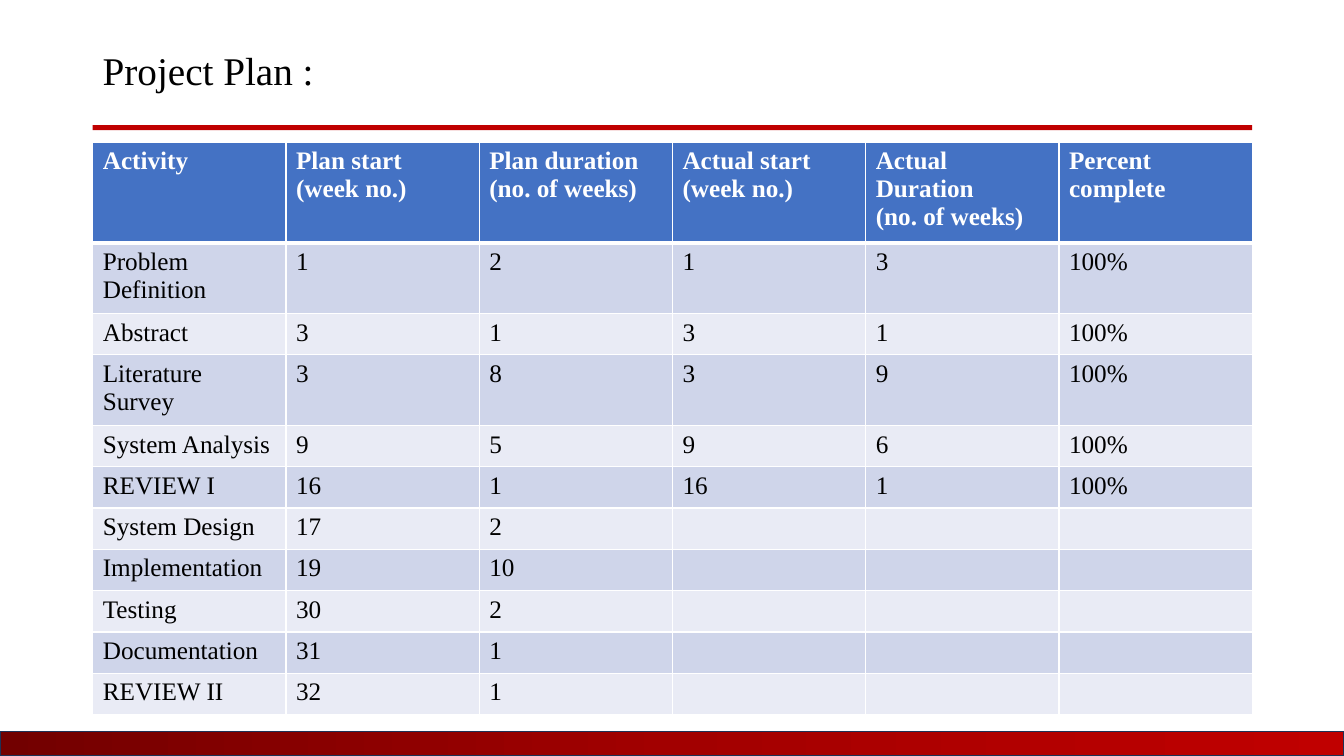
from lxml.etree import SubElement
from pptx import Presentation
from pptx.dml.color import RGBColor
from pptx.enum.shapes import MSO_SHAPE
from pptx.enum.text import MSO_ANCHOR
from pptx.oxml.ns import qn
from pptx.util import Inches, Pt

FONT = "Times New Roman"
BLACK = RGBColor(0x00, 0x00, 0x00)
WHITE = RGBColor(0xFF, 0xFF, 0xFF)
RED = RGBColor(0xC0, 0x00, 0x00)
MID_RED = RGBColor(0xA2, 0x00, 0x00)
DARK_RED = RGBColor(0x72, 0x00, 0x00)
NAVY = RGBColor(0x1E, 0x32, 0x56)
HEADER_BLUE = RGBColor(0x44, 0x72, 0xC4)
BAND_DARK = RGBColor(0xCF, 0xD5, 0xEA)
BAND_LIGHT = RGBColor(0xE9, 0xEB, 0xF5)

LEFT, WIDTH = 0.92, 11.5
ROW_HEIGHT = 0.41

HEADINGS = ["Activity", "Plan start\n(week no.)", "Plan duration\n(no. of weeks)",
            "Actual start\n(week no.)", "Actual\vDuration\n(no. of weeks)",
            "Percent complete"]
ACTIVITIES = [
    ["Problem Definition", "1", "2", "1", "3", "100%"],
    ["Abstract", "3", "1", "3", "1", "100%"],
    ["Literature Survey", "3", "8", "3", "9", "100%"],
    ["System Analysis", "9", "5", "9", "6", "100%"],
    ["REVIEW I", "16", "1", "16", "1", "100%"],
    ["System Design", "17", "2", "", "", ""],
    ["Implementation", "19", "10", "", "", ""],
    ["Testing", "30", "2", "", "", ""],
    ["Documentation", "31", "1", "", "", ""],
    ["REVIEW II", "32", "1", "", "", ""],
]


class PlanSlide:
    def __init__(self, slide, font):
        self.slide = slide
        self.font = font

    def style_text(self, frame, size, color, bold=False):
        for paragraph in frame.paragraphs:
            for font in [paragraph.font] + [run.font for run in paragraph.runs]:
                font.name = self.font
                font.size = Pt(size)
                font.bold = bold
                font.color.rgb = color

    def title(self, text, left, top, width, height):
        heading = self.slide.shapes.add_textbox(
            Inches(left), Inches(top), Inches(width), Inches(height))
        frame = heading.text_frame
        frame.word_wrap = True
        frame.vertical_anchor = MSO_ANCHOR.MIDDLE
        frame.text = text
        frame.paragraphs[0].line_spacing = 0.9
        self.style_text(frame, 28, BLACK)

    def bar(self, left, top, width, height):
        strip = self.slide.shapes.add_shape(
            MSO_SHAPE.RECTANGLE, Inches(left), Inches(top), Inches(width), Inches(height))
        strip.shadow.inherit = False
        strip.fill.solid()
        strip.fill.fore_color.rgb = RED
        strip.line.fill.background()
        return strip

    def gradient_bar(self, left, top, width, height, colors, outline):
        """Add a bar that runs from left to right through evenly spaced colours."""
        strip = self.bar(left, top, width, height)
        strip.fill.gradient()
        strip.fill.gradient_angle = 0
        stops = strip._element.spPr.find(qn("a:gradFill")).find(qn("a:gsLst"))
        for stop in list(stops):
            stops.remove(stop)
        for index, color in enumerate(colors):
            position = str(100000 * index // (len(colors) - 1))
            stop = SubElement(stops, qn("a:gs"), pos=position)
            SubElement(stop, qn("a:srgbClr"), val=str(color))
        strip.line.color.rgb = outline
        strip.line.width = Pt(1)

    def cell_borders(self, cell, bottom):
        properties = cell._tc.get_or_add_tcPr()
        edges = [("a:lnL", 1), ("a:lnR", 1), ("a:lnT", 1), ("a:lnB", bottom)]
        for index, (edge, points) in enumerate(edges):
            line = SubElement(properties, qn(edge), w=str(Pt(points)))
            fill = SubElement(line, qn("a:solidFill"))
            SubElement(fill, qn("a:srgbClr"), val=str(WHITE))
            properties.insert(index, line)

    def table(self, rows, left, top, width, row_height):
        plan = self.slide.shapes.add_table(
            len(rows), len(rows[0]), Inches(left), Inches(top),
            Inches(width), Inches(row_height * len(rows))).table
        for row_index, row in enumerate(rows):
            is_header = row_index == 0
            band = BAND_DARK if row_index % 2 else BAND_LIGHT
            for column_index, text in enumerate(row):
                cell = plan.cell(row_index, column_index)
                cell.text_frame.text = text
                self.style_text(cell.text_frame, 18,
                                WHITE if is_header else BLACK, is_header)
                cell.fill.solid()
                cell.fill.fore_color.rgb = HEADER_BLUE if is_header else band
                self.cell_borders(cell, bottom=3 if is_header else 1)


def main():
    presentation = Presentation()
    presentation.slide_width = Inches(13.33)
    presentation.slide_height = Inches(7.5)
    plan_slide = PlanSlide(
        presentation.slides.add_slide(presentation.slide_layouts[6]), FONT)

    plan_slide.title("Project Plan :", LEFT, 0.37, WIDTH, 0.71)
    plan_slide.table([HEADINGS] + ACTIVITIES, LEFT, 1.41, WIDTH, ROW_HEIGHT)
    plan_slide.gradient_bar(0, 7.26, 13.33, 0.24, [DARK_RED, MID_RED, RED], NAVY)
    plan_slide.bar(LEFT, 1.24, WIDTH, 0.05)

    presentation.save("out.pptx")


if __name__ == "__main__":
    main()
